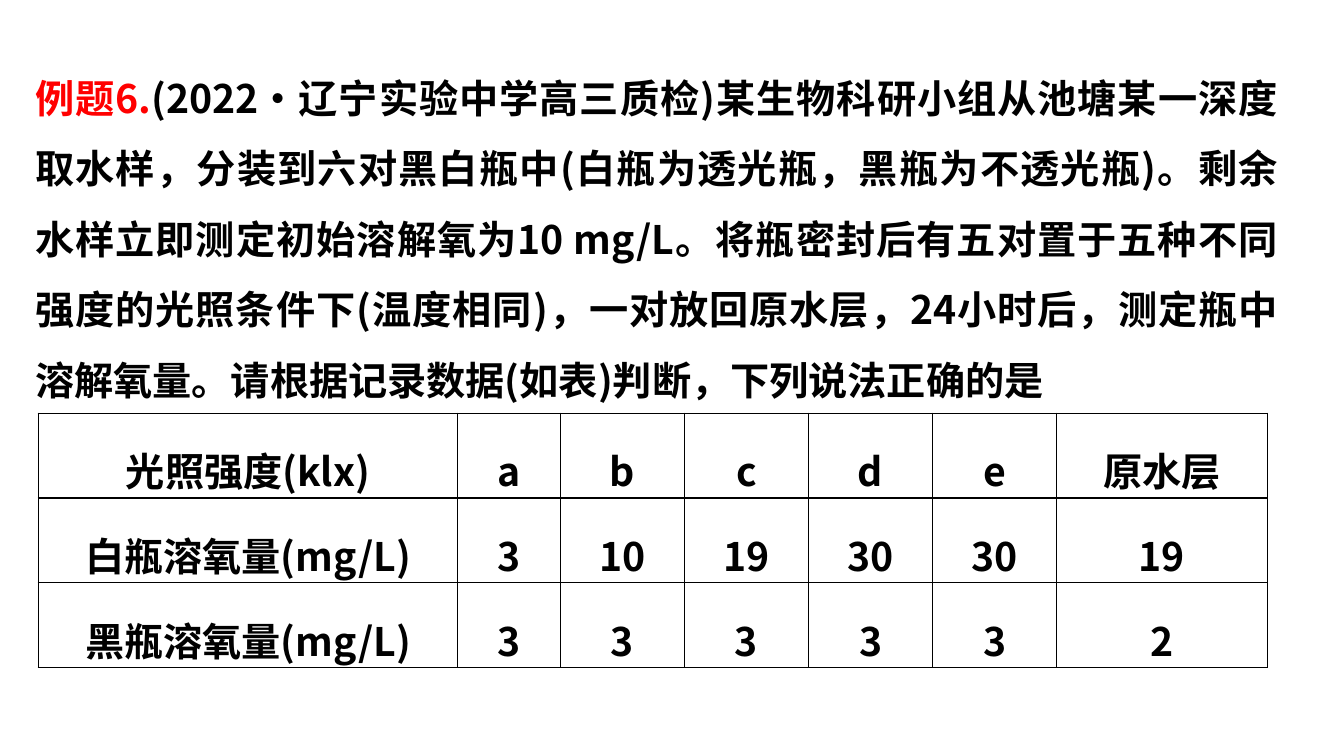
from dataclasses import dataclass

from lxml import etree
from pptx import Presentation
from pptx.dml.color import RGBColor
from pptx.enum.text import MSO_ANCHOR, MSO_AUTO_SIZE, PP_ALIGN
from pptx.oxml.ns import qn
from pptx.util import Inches, Pt

JUSTIFY = PP_ALIGN.JUSTIFY
CENTER = PP_ALIGN.CENTER
MIDDLE = MSO_ANCHOR.MIDDLE
GROW = MSO_AUTO_SIZE.SHAPE_TO_FIT_TEXT
FONT = "Noto Sans CJK SC"
COLORS = {"label": "FF0000", "ink": "000000"}
BORDER_SIDES = ("a:lnL", "a:lnR", "a:lnT", "a:lnB")
COLUMN_WIDTHS = (4.16, 1.02, 1.23, 1.23, 1.23, 1.23, 2.09)
ROW_HEIGHT = 0.84
LABEL = "例题6."
QUESTION = (
    "(2022·辽宁实验中学高三质检)某生物科研小组从池塘某一深度取水样，"
    "分装到六对黑白瓶中(白瓶为透光瓶，黑瓶为不透光瓶)。"
    "剩余水样立即测定初始溶解氧为10 mg/L。"
    "将瓶密封后有五对置于五种不同强度的光照条件下(温度相同)，一对放回原水层，"
    "24小时后，测定瓶中溶解氧量。请根据记录数据(如表)判断，下列说法正确的是"
)


@dataclass(frozen=True)
class Reading:
    name: str
    values: tuple[str, ...]


READINGS = (
    Reading("光照强度(klx)", ("a", "b", "c", "d", "e", "原水层")),
    Reading("白瓶溶氧量(mg/L)", ("3", "10", "19", "30", "30", "19")),
    Reading("黑瓶溶氧量(mg/L)", ("3", "3", "3", "3", "3", "2")),
)


def add_text(para, text: str, *, color: str = "ink", align=CENTER, size: int = 28) -> None:
    para.alignment = align
    para.line_spacing = 1.5
    span = para.add_run()
    span.text = text
    span.font.size = Pt(size)
    span.font.bold = True
    span.font.color.rgb = RGBColor.from_string(COLORS[color])
    span.font.name = FONT
    properties = span.font._element
    etree.SubElement(properties, qn("a:ea"), typeface=FONT)


def add_borders(cell) -> None:
    properties = cell._tc.get_or_add_tcPr()
    for side in BORDER_SIDES:
        line = etree.SubElement(properties, qn(side), w=str(Pt(1)))
        fill = etree.SubElement(line, qn("a:solidFill"))
        etree.SubElement(fill, qn("a:srgbClr"), val=COLORS["ink"])


def add_question(page) -> None:
    box = page.shapes.add_textbox(Inches(0.25), Inches(0.45), Inches(12.52), Inches(3.63))
    frame = box.text_frame
    frame.word_wrap = True
    frame.auto_size = GROW
    para = frame.paragraphs[0]
    add_text(para, LABEL, color="label", align=JUSTIFY)
    add_text(para, QUESTION, align=JUSTIFY)


def fill_cell(cell, text: str) -> None:
    cell.margin_left = cell.margin_right = Inches(0.06)
    cell.margin_top = cell.margin_bottom = 0
    cell.vertical_anchor = MIDDLE
    add_borders(cell)
    cell.fill.background()
    add_text(cell.text_frame.paragraphs[0], text)


def add_readings(page, readings: tuple[Reading, ...]) -> None:
    table = page.shapes.add_table(
        len(readings), len(COLUMN_WIDTHS), Inches(0.38), Inches(4.1),
        Inches(sum(COLUMN_WIDTHS)), Inches(ROW_HEIGHT * len(readings)),
    ).table
    table.first_row = False
    table.horz_banding = False
    for column, width in zip(table.columns, COLUMN_WIDTHS):
        column.width = Inches(width)
    for row, reading in zip(table.rows, readings):
        row.height = Inches(ROW_HEIGHT)
        for cell, text in zip(row.cells, (reading.name, *reading.values)):
            fill_cell(cell, text)


def main() -> None:
    deck = Presentation()
    deck.slide_width = Inches(13.33)
    deck.slide_height = Inches(7.5)
    page = deck.slides.add_slide(deck.slide_layouts[6])
    add_question(page)
    add_readings(page, READINGS)
    deck.save("out.pptx")


if __name__ == "__main__":
    main()
